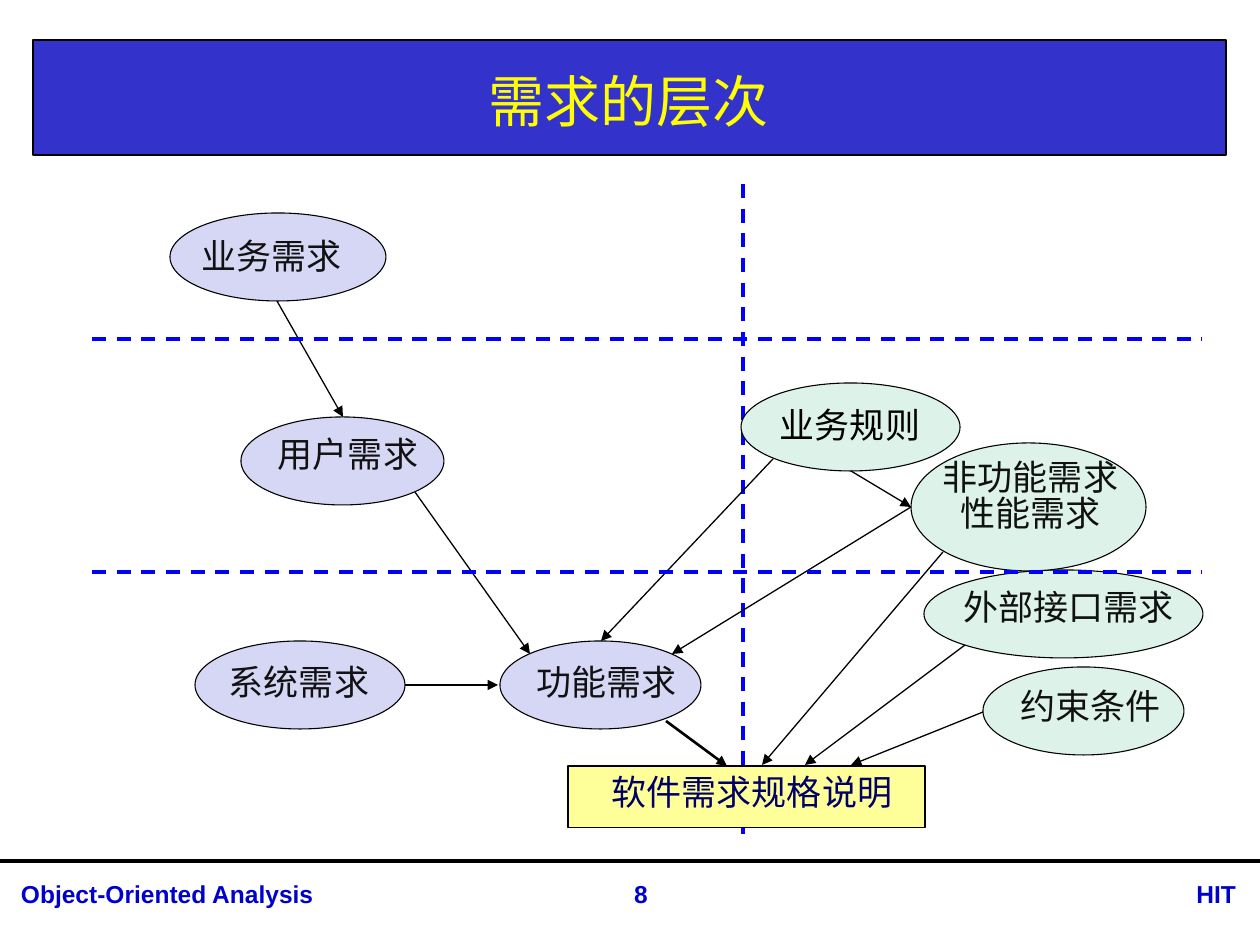
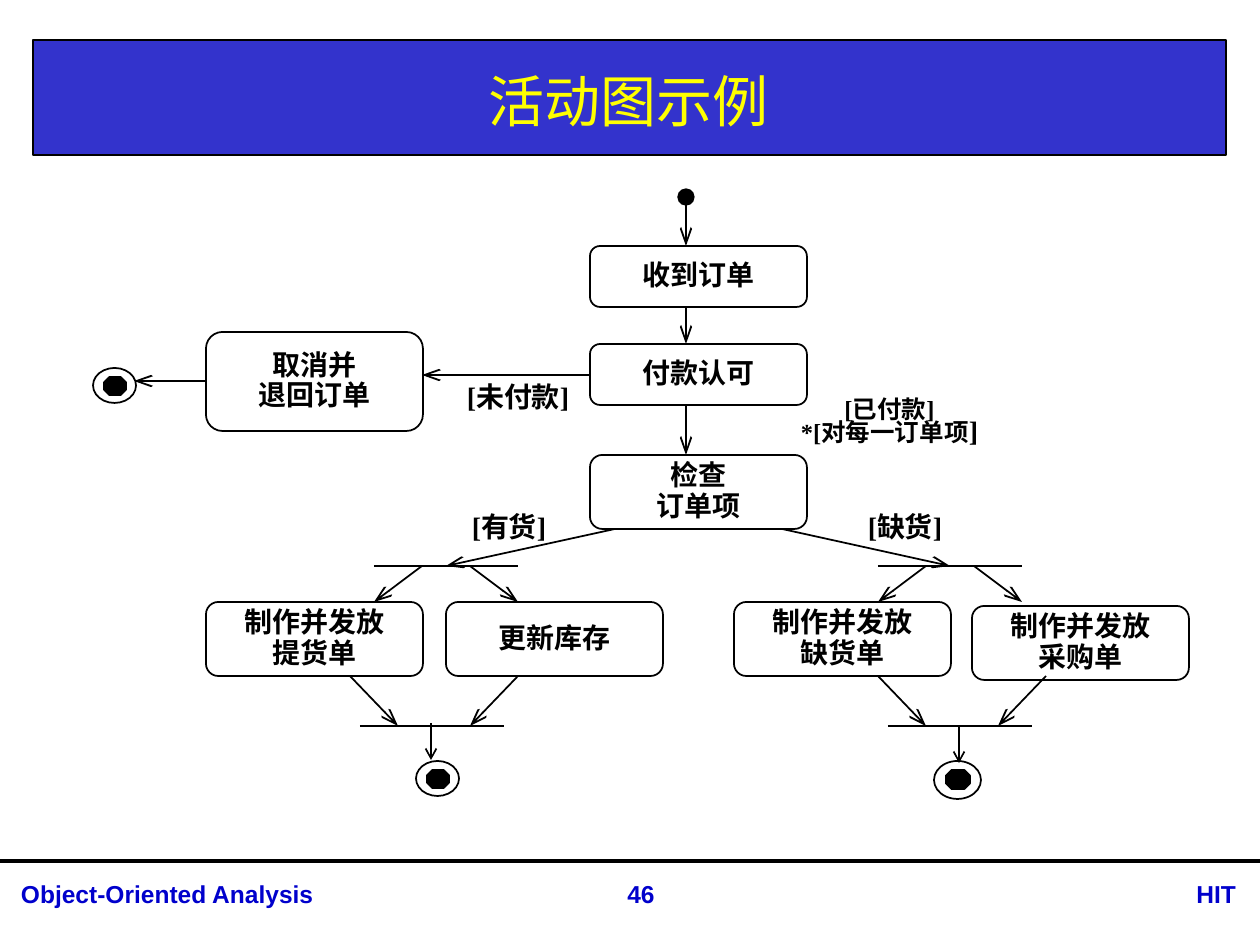
import pptx
import pptx.dml.color
import pptx.enum.dml
import pptx.enum.shapes
import pptx.enum.text
import pptx.oxml.ns
import pptx.util
from lxml import etree

EMU_PER_PX = 914400 / 126
SHAPE = pptx.enum.shapes.MSO_SHAPE
ALIGN = pptx.enum.text.PP_ALIGN
ANCHOR = pptx.enum.text.MSO_ANCHOR
qn = pptx.oxml.ns.qn

BLACK, WHITE = "000000", "FFFFFF"
BAND_BLUE, TITLE_YELLOW, FOOTER_BLUE = "3333CC", "FFFF00", "0000CC"
DASH_BLUE, LILAC, MINT = "0000FF", "D6D6F5", "DDF3EA"
NOTE_YELLOW, NOTE_TEXT, NODE_TEXT = "FFFF99", "000066", "111111"
CJK, SERIF, SANS = "Noto Sans CJK SC", "Times New Roman", "Arial"


def px(length):
    return pptx.util.Emu(round(length * EMU_PER_PX))


def rgb(code):
    return pptx.dml.color.RGBColor.from_string(code)


class Deck:
    """Holds the presentation, its style and the current slide."""

    def __init__(self):
        self.deck = pptx.Presentation()
        self.deck.slide_width, self.deck.slide_height = px(1260), px(945)
        self.page = None

    def start_page(self, title, number):
        self.page = self.deck.slides.add_slide(self.deck.slide_layouts[6])
        # Title band
        self.shape(SHAPE.RECTANGLE, (33, 40, 1193, 115), BAND_BLUE, 0.75)
        self.text((33, 45, 1191, 110), title, 32, TITLE_YELLOW)
        # Footer
        self.line((0, 861), (1260, 861), 2.25)
        for left, width, words, align in (
            (9, 583, "Object-Oriented Analysis", ALIGN.LEFT),
            (1118, 130, "HIT", ALIGN.RIGHT),
            (576, 130, number, ALIGN.CENTER),
        ):
            self.text((left, 873, width, 43), words, 14, FOOTER_BLUE, SANS,
                      bold=True, align=align, anchor=ANCHOR.TOP, inset=(12, 6))

    def shape(self, kind, place, fill=None, width=1):
        shape = self.page.shapes.add_shape(kind, *map(px, place))
        shape.shadow.inherit = False
        if fill:
            shape.fill.solid()
            shape.fill.fore_color.rgb = rgb(fill)
        else:
            shape.fill.background()
        shape.line.color.rgb = rgb(BLACK)
        shape.line.width = pptx.util.Pt(width)
        return shape

    def text(self, place, words, size, colour, font=CJK, **options):
        box = self.page.shapes.add_textbox(*map(px, place))
        self.set_text(box, words, size, colour, font, **options)
        return box

    def set_text(self, box, words, size, colour, font, bold=False, spacing=1.0,
                 align=ALIGN.CENTER, anchor=ANCHOR.MIDDLE, inset=(0, 0)):
        frame = box.text_frame
        frame.text = words
        frame.word_wrap = True
        frame.vertical_anchor = anchor
        frame.margin_left = frame.margin_right = px(inset[0])
        frame.margin_top = frame.margin_bottom = px(inset[1])
        for para in frame.paragraphs:
            para.alignment = align
            para.line_spacing = spacing
            for span in para.runs:
                span.font.size = pptx.util.Pt(size)
                span.font.bold = bold
                span.font.name = font
                span.font.color.rgb = rgb(colour)
                east_asian = etree.SubElement(span.font._element, qn("a:ea"))
                east_asian.set("typeface", CJK)

    def line(self, start, end, width=1, colour=BLACK, dashed=False,
             head=None, tail=None):
        """Draw a line; head and tail are (type, width, length) of its ends."""
        line = self.page.shapes.add_connector(
            pptx.enum.shapes.MSO_CONNECTOR.STRAIGHT, *map(px, start + end))
        line.line.color.rgb = rgb(colour)
        line.line.width = pptx.util.Pt(width)
        if dashed:
            line.line.dash_style = pptx.enum.dml.MSO_LINE.DASH
        properties = line._element.spPr
        outline = properties.find(qn("a:ln"))
        for tag, tip in (("a:headEnd", head), ("a:tailEnd", tail)):
            if tip:
                mark = etree.SubElement(outline, qn(tag))
                for key, value in zip(("type", "w", "len"), tip):
                    mark.set(key, value)
        etree.SubElement(properties, qn("a:effectLst"))

    def solid_arrow(self, start, end, width=0.75):
        self.line(start, end, width, tail=("triangle", "med", "med"))

    def open_arrow(self, start, end, length="lg", head=None):
        self.line(start, end, head=head, tail=("arrow", "med", length))

    def divider(self, start, end):
        self.line(start, end, 2, DASH_BLUE, dashed=True)

    def requirement(self, place, fill, words, label, colour=NODE_TEXT):
        self.shape(SHAPE.OVAL, place, fill, 0.63)
        lines = words.count("\n") + 1
        self.text((*label, 43 * lines), words, 20, colour, anchor=ANCHOR.TOP,
                  spacing=0.85 if lines > 1 else 1.0)

    def activity(self, left, top, height, words):
        box = self.shape(SHAPE.ROUNDED_RECTANGLE, (left, top, 217, height))
        self.set_text(box, words, 16, BLACK, SERIF, bold=True, spacing=0.9)

    def guard(self, place, words, size=16):
        return self.text(place, words, size, BLACK, SERIF, bold=True, spacing=0.72)

    def end_node(self, left, top, width, height):
        self.shape(SHAPE.OVAL, (left, top, width, height), WHITE)
        core = (left + width / 4, top + height / 4, width / 2, height / 2)
        self.shape(SHAPE.OCTAGON, [round(side) for side in core], BLACK)


def build_levels(deck):
    deck.start_page("需求的层次", "8")
    deck.divider((743, 184), (743, 834))

    # Requirements: ellipse, fill, words, label (left, top, width)
    for node in (
        ((170, 213, 216, 88), LILAC, "业务需求", (157, 234, 229)),
        ((741, 383, 219, 88), MINT, "业务规则", (722, 403, 256), BLACK),
        ((500, 641, 201, 88), LILAC, "功能需求", (471, 660, 271)),
        ((195, 641, 210, 88), LILAC, "系统需求", (164, 660, 270)),
        ((924, 570, 279, 88), MINT, "外部接口需求", (910, 585, 317)),
        ((241, 417, 203, 88), LILAC, "用户需求", (213, 432, 270)),
        ((983, 667, 201, 88), MINT, "约束条件", (953, 684, 275)),
        ((911, 443, 235, 128), MINT, "非功能需求\n性能需求", (871, 462, 319)),
    ):
        deck.requirement(*node)

    # Specification document
    deck.shape(SHAPE.RECTANGLE, (568, 766, 357, 62), NOTE_YELLOW, 0.63)
    deck.text((539, 770, 426, 43), "软件需求规格说明", 20, NOTE_TEXT, anchor=ANCHOR.TOP)

    # Dependencies
    deck.solid_arrow((405, 685), (498, 685), 1.5)
    deck.solid_arrow((666, 721), (727, 766), 1.5)
    for start, end in (
        ((415, 492), (530, 654)),
        ((277, 301), (343, 417)),
        ((773, 459), (601, 641)),
        ((851, 471), (911, 507)),
        ((911, 507), (672, 654)),
        ((943, 552), (762, 765)),
        ((965, 645), (805, 765)),
        ((983, 712), (851, 765)),
    ):
        deck.solid_arrow(start, end)
    for height in (339, 572):
        deck.divider((92, height), (1202, height))


def build_activity(deck):
    deck.start_page("活动图示例", "46")

    # Guards
    deck.guard((446, 382, 144, 37), "[未付款]")
    paid = deck.guard((769, 393, 241, 62), "[已付款]\n*[对每一订单项", 14)
    bracket = paid.text_frame.paragraphs[1].add_run()
    bracket.text = "]"
    bracket.font.size = pptx.util.Pt(16)
    bracket.font.bold = True
    bracket.font.name = SERIF
    bracket.font.color.rgb = rgb(BLACK)
    deck.guard((449, 512, 120, 37), "[有货]")
    deck.guard((845, 512, 120, 37), "[缺货]")

    # Activities
    for left, top, height, words in (
        (590, 246, 61, "收到订单"),
        (590, 344, 61, "付款认可"),
        (590, 455, 74, "检查\n订单项"),
        (206, 332, 99, "取消并\n退回订单"),
        (206, 602, 74, "制作并发放\n提货单"),
        (446, 602, 74, "更新库存"),
        (734, 602, 74, "制作并发放\n缺货单"),
        (972, 606, 74, "制作并发放\n采购单"),
    ):
        deck.activity(left, top, height, words)

    # Main flow
    deck.open_arrow((686, 197), (686, 246), head=("oval", "lg", "lg"))
    deck.open_arrow((686, 307), (686, 344))
    deck.open_arrow((686, 406), (686, 455))
    deck.open_arrow((590, 375), (422, 375))
    deck.open_arrow((206, 381), (134, 381))
    deck.open_arrow((615, 529), (446, 566))
    deck.open_arrow((782, 529), (950, 566))

    # End nodes
    deck.end_node(93, 368, 43, 35)
    deck.end_node(416, 761, 43, 35)
    deck.end_node(934, 761, 47, 38)

    # Forks and joins
    for fork, join, exit_top in ((374, 360, 723), (878, 888, 726)):
        deck.line((fork, 566), (fork + 144, 566))
        deck.open_arrow((fork + 48, 566), (fork, 602))
        deck.open_arrow((fork + 96, 566), (fork + 144, 602))
        deck.line((join, 726), (join + 144, 726))
        deck.open_arrow((join - 10, 676), (join + 38, 726))
        deck.open_arrow((join + 158, 676), (join + 110, 726))
        deck.open_arrow((join + 71, exit_top), (join + 71, exit_top + 37), "med")


def main():
    deck = Deck()
    build_levels(deck)
    build_activity(deck)
    deck.deck.save("out.pptx")


if __name__ == "__main__":
    main()
